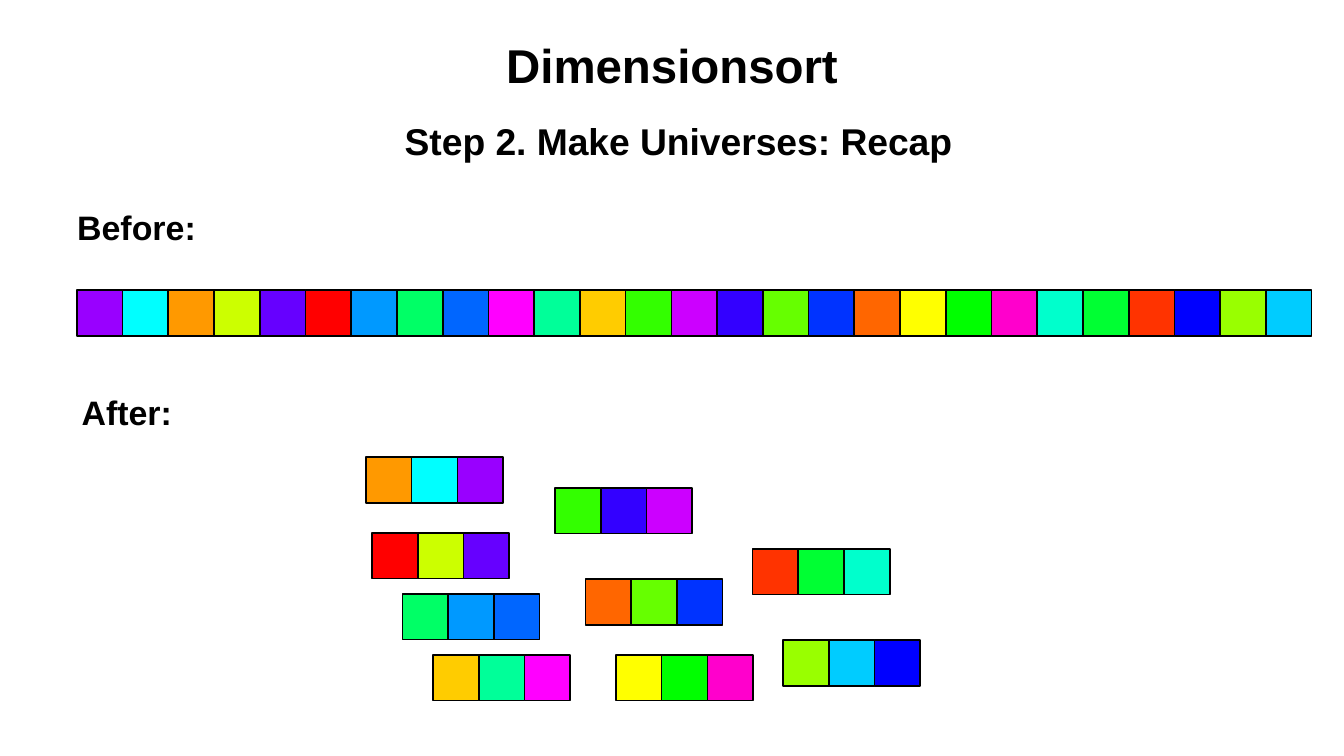
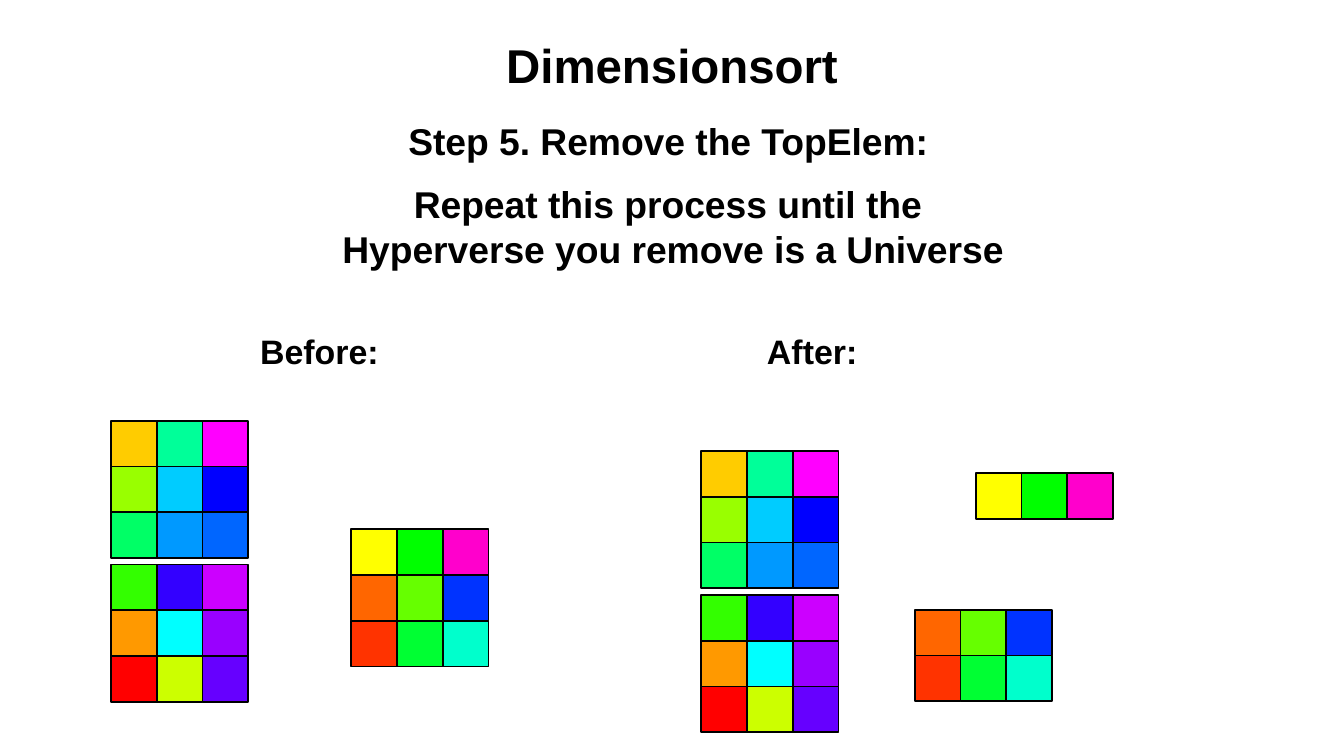
from pptx import Presentation
from pptx.dml.color import RGBColor
from pptx.enum.shapes import MSO_SHAPE as Shape
from pptx.enum.text import MSO_ANCHOR as Anchor, MSO_AUTO_SIZE as AutoSize, PP_ALIGN as Align
from pptx.util import Inches, Pt

# Shared look
FONT = "Arial"
INK = "000000"
CELL = 3 / 8
FLUSH = (0, 0, 0, 0)
PADDED = (0.1, 0.05, 0.1, 0.05)
SIDES = ("margin_left", "margin_top", "margin_right", "margin_bottom")

# The shuffled row, and the universes of three cells it is split into
SHUFFLED = """9900FF 00FFFF FF9900 CCFF00 6600FF FF0000 0099FF 00FF66 0066FF
FF00FF 00FF99 FFCC00 33FF00 CC00FF 3300FF 66FF00 0033FF FF6600 FFFF00
00FF00 FF00CC 00FFCC 00FF33 FF3300 0000FF 99FF00 00CCFF""".split()
ORANGE = ["FF9900", "00FFFF", "9900FF"]
GREEN = ["33FF00", "3300FF", "CC00FF"]
RED = ["FF0000", "CCFF00", "6600FF"]
VERMILION = ["FF3300", "00FF33", "00FFCC"]
TANGERINE = ["FF6600", "66FF00", "0033FF"]
EMERALD = ["00FF66", "0099FF", "0066FF"]
GOLD = ["FFCC00", "00FF99", "FF00FF"]
YELLOW = ["FFFF00", "00FF00", "FF00CC"]
LIME = ["99FF00", "00CCFF", "0000FF"]
UPPER_VERSE = [GOLD, LIME, EMERALD]
LOWER_VERSE = [GREEN, ORANGE, RED]

# Each page: headings as (place, lines, alignment), row group, blocks as (left, top, rows)
PAGES = [
    {
        "before": (0.16, 1.49),
        "after": (0.08, 3),
        "headings": [((3.22, 0.92, 5.96, 0.78), ["Step 2. Make Universes: Recap"], Align.LEFT)],
        "row": [SHUFFLED],
        "blocks": [
            (3, 3.75, [ORANGE]), (4.55, 4, [GREEN]), (3.05, 4.37, [RED]),
            (6.17, 4.5, [VERMILION]), (4.8, 4.75, [TANGERINE]), (3.3, 4.87, [EMERALD]),
            (3.55, 5.37, [GOLD]), (5.05, 5.37, [YELLOW]), (6.42, 5.25, [LIME]),
        ],
    },
    {
        "before": (1.66, 2.5),
        "after": (5.7, 2.5),
        "headings": [
            ((3.25, 0.92, 5.96, 0.78), ["Step 5. Remove the TopElem:"], Align.LEFT),
            ((2.04, 1.44, 6.96, 0.81),
             ["Repeat this process until the ", "Hyperverse you remove is a Universe"],
             Align.CENTER),
        ],
        "row": [],
        "blocks": [
            (0.91, 3.45, UPPER_VERSE), (0.91, 4.63, LOWER_VERSE),
            (2.88, 4.34, [YELLOW, TANGERINE, VERMILION]),
            (5.75, 3.7, UPPER_VERSE), (5.75, 4.88, LOWER_VERSE),
            (8, 3.88, [YELLOW]), (7.5, 5, [TANGERINE, VERMILION]),
        ],
    },
]


def write_text(box, place, lines, size, align=Align.CENTER, anchor=Anchor.MIDDLE, insets=FLUSH):
    box.left, box.top, box.width, box.height = map(Inches, place)
    frame = box.text_frame
    frame.text = "\n".join(lines)
    frame.word_wrap = True
    frame.auto_size = AutoSize.NONE
    frame.vertical_anchor = anchor
    for side, inset in zip(SIDES, insets):
        setattr(frame, side, Inches(inset))
    for para in frame.paragraphs:
        para.alignment = align
        para.space_before = Pt(0)
        for span in para.runs:
            for name, value in {"name": FONT, "size": Pt(size), "bold": True}.items():
                setattr(span.font, name, value)
            span.font.color.rgb = RGBColor.from_string(INK)


def draw_block(shapes, left, top, rows):
    for row, colors in enumerate(rows):
        for column, color in enumerate(colors):
            cell = shapes.add_shape(
                Shape.RECTANGLE, Inches(left + column * CELL), Inches(top + row * CELL),
                Inches(CELL), Inches(CELL))
            cell.shadow.inherit = False
            cell.fill.solid()
            cell.fill.fore_color.rgb = RGBColor.from_string(color)
            cell.line.color.rgb = RGBColor.from_string(INK)
            cell.line.width = Pt(1)


deck = Presentation()
deck.slide_width = Inches(11.02)
deck.slide_height = Inches(6.2)

for content in PAGES:
    page = deck.slides.add_slide(deck.slide_layouts[0])

    # Title and the two labels
    write_text(page.shapes.title, (0.55, 0.01, 9.92, 1.04), ["Dimensionsort"], 28)
    after_label = page.shapes.add_textbox(0, 0, 0, 0)
    for box, key, label in ((page.placeholders[1], "before", "Before:"),
                            (after_label, "after", "After:")):
        write_text(box, (*content[key], 1.92, 0.75), [label], 20)

    # Step headings
    for place, lines, align in content["headings"]:
        box = page.shapes.add_textbox(0, 0, 0, 0)
        write_text(box, place, lines, 22, align, Anchor.TOP, PADDED)

    # Coloured cells
    if content["row"]:
        draw_block(page.shapes.add_group_shape().shapes, 0.63, 2.38, content["row"])
    for left, top, rows in content["blocks"]:
        draw_block(page.shapes, left, top, rows)

deck.save("out.pptx")
